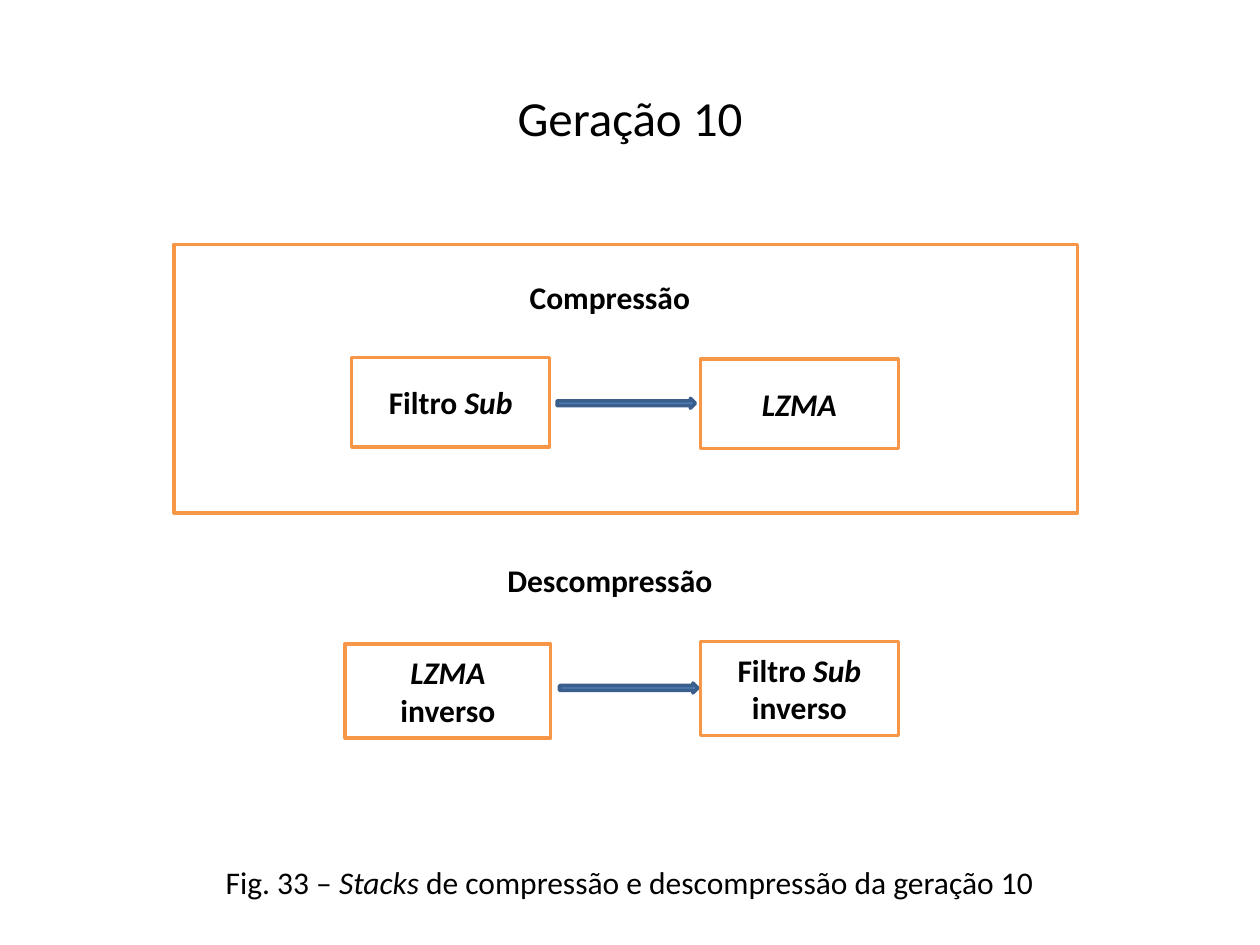
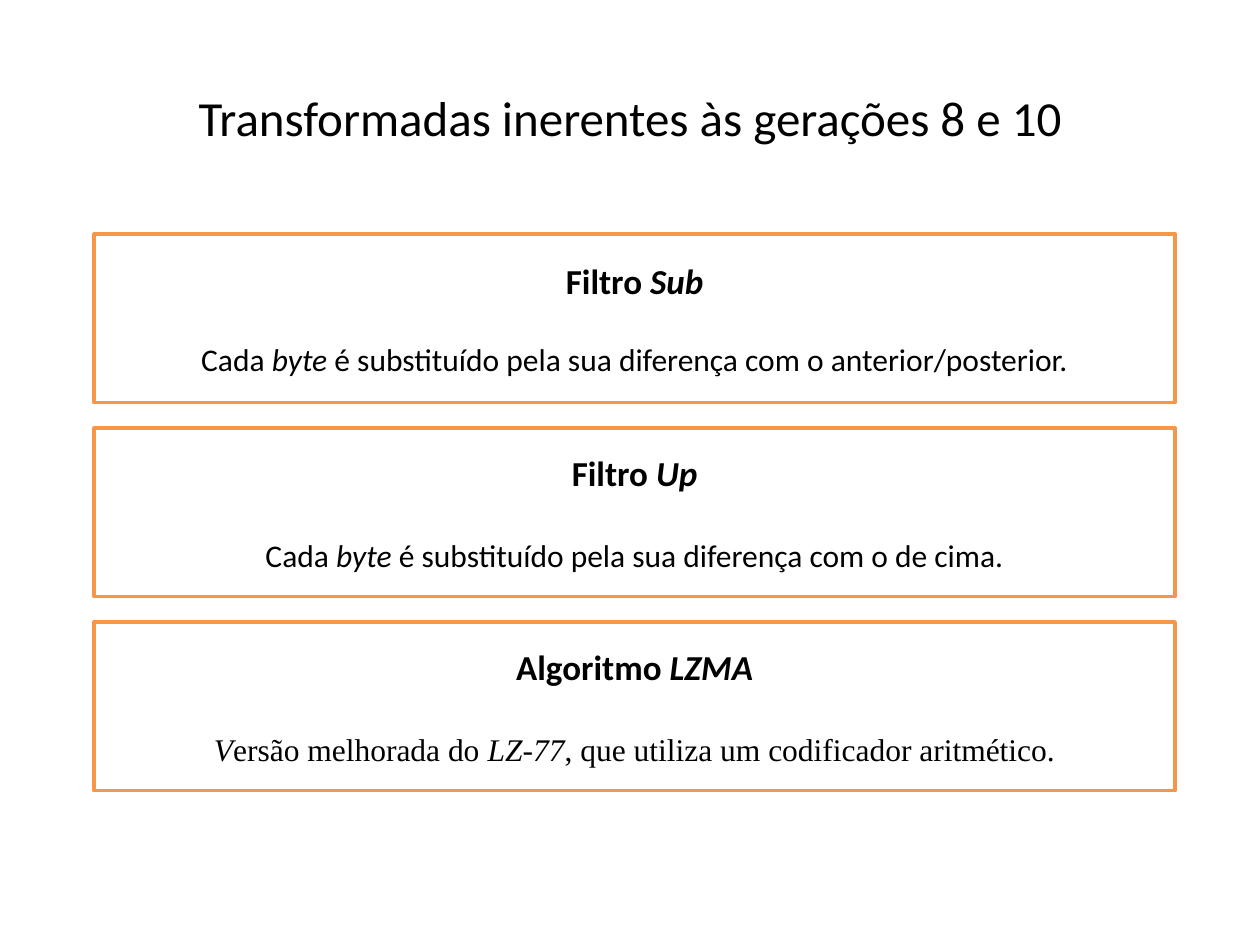
from pptx import Presentation
from pptx.dml.color import RGBColor
from pptx.enum.shapes import MSO_SHAPE
from pptx.enum.text import MSO_ANCHOR, PP_ALIGN
from pptx.util import Cm, Pt

RECTANGLE = MSO_SHAPE.RECTANGLE
ARROW = MSO_SHAPE.RIGHT_ARROW
CENTER = PP_ALIGN.CENTER
MIDDLE = MSO_ANCHOR.MIDDLE

WHITE, BLACK, ORANGE = "FFFFFF", "000000", "F79646"
BLUE, DARK_BLUE = "4F81BD", "3A5F8C"
TITLE_ONLY = 5


def write(frame, text, size=18, bold=False, font="Calibri", space_before=0):
    """Append each line of text as a paragraph; *asterisks* mark italics."""
    frame.word_wrap = True
    for line in text.split("\n"):
        paragraph = frame.paragraphs[0] if not frame.text else frame.add_paragraph()
        paragraph.alignment = CENTER
        paragraph.space_before = Pt(space_before)
        for index, part in enumerate(line.split("*")):
            if part:
                run = paragraph.add_run()
                run.text = part
                run.font.name = font
                run.font.size = Pt(size)
                run.font.bold = bold
                run.font.italic = index % 2 == 1
                run.font.color.rgb = RGBColor.from_string(BLACK)


def draw(slide, area, preset=RECTANGLE, fill=WHITE, line=ORANGE):
    """Add an outlined shape at area (left, top, width, height in cm)."""
    shape = slide.shapes.add_shape(preset, *map(Cm, area))
    shape.shadow.inherit = False
    if fill:
        shape.fill.solid()
        shape.fill.fore_color.rgb = RGBColor.from_string(fill)
    else:
        shape.fill.background()
    shape.line.color.rgb = RGBColor.from_string(line)
    shape.line.width = Pt(2)
    shape.text_frame.vertical_anchor = MIDDLE
    return shape


prs = Presentation()
prs.slide_width, prs.slide_height = Cm(25.4), Cm(19.05)

slides = []
for heading in ("Geração 10", "Transformadas inerentes às gerações 8 e 10"):
    slide = prs.slides.add_slide(prs.slide_layouts[TITLE_ONLY])
    title = slide.shapes.title
    title.left, title.top, title.width, title.height = map(Cm, (1.27, 0.76, 22.86, 3.18))
    title.text_frame.vertical_anchor = MIDDLE
    write(title.text_frame, heading, size=28)
    slides.append(slide)
generation, transforms = slides

# Compression and decompression stacks
draw(generation, (3.51, 4.93, 18.21, 5.41), fill=None)

stages = [
    ("Filtro *Sub*", (7.09, 7.21, 3.99, 1.8)),
    ("*LZMA*", (14.12, 7.24, 3.99, 1.8)),
    ("*LZMA*\ninverso", (6.96, 12.98, 4.14, 1.9)),
    ("Filtro *Sub*\ninverso", (14.12, 12.93, 3.99, 1.9)),
]
for stage, area in stages:
    write(draw(generation, area).text_frame, stage, bold=True)

for left, top in ((11.23, 8.03), (11.28, 13.77)):
    draw(generation, (left, top, 2.79, 0.2), ARROW, BLUE, DARK_BLUE)

labels = [
    ("Compressão", (9.3, 5.49, 5.99, 1.04), True),
    ("Descompressão", (9.3, 11.18, 5.99, 1.04), True),
    ("Fig. 33 – *Stacks *de compressão e descompressão da geração 10",
     (3.76, 17.27, 17.86, 1.02), False),
]
for label, area, bold in labels:
    textbox = generation.shapes.add_textbox(*map(Cm, area))
    write(textbox.text_frame, label, bold=bold)

# One card per transform
cards = [
    ("Filtro *Sub*",
     "Cada *byte* é substituído pela sua diferença com o anterior/posterior.",
     "Calibri", 22),
    ("Filtro *Up*",
     "Cada *byte* é substituído pela sua diferença com o de cima.",
     "Calibri", 24.4),
    ("Algoritmo *LZMA*",
     "*V*ersão melhorada do *LZ-77*, que utiliza um codificador aritmético*.*",
     "Times New Roman", 24.4),
]
for row, (transform, description, font, gap) in enumerate(cards):
    card = draw(transforms, (1.9, 4.72 + row * 3.91, 21.79, 3.4))
    write(card.text_frame, transform, size=20, bold=True)
    write(card.text_frame, description, font=font, space_before=gap)

prs.save("out.pptx")
